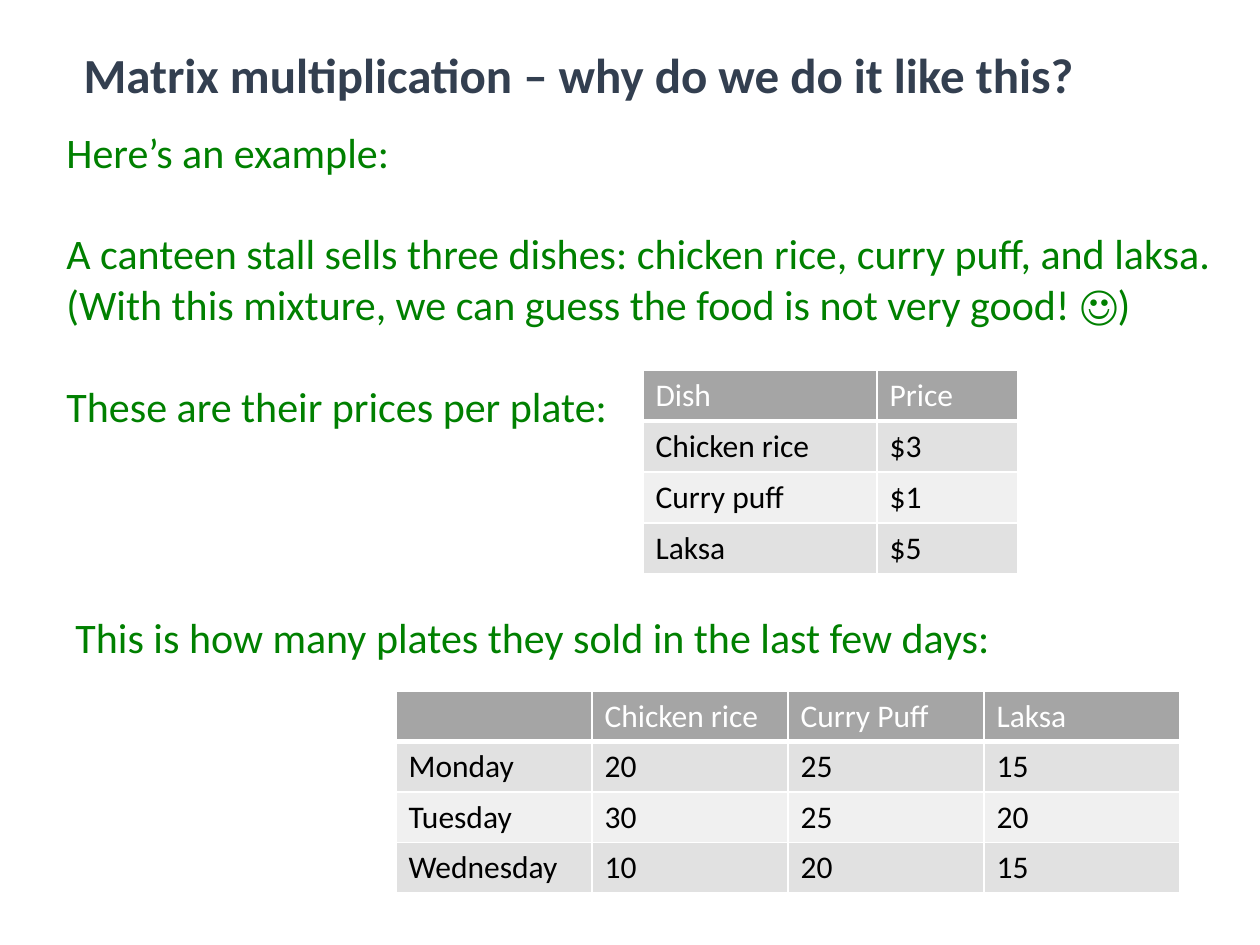
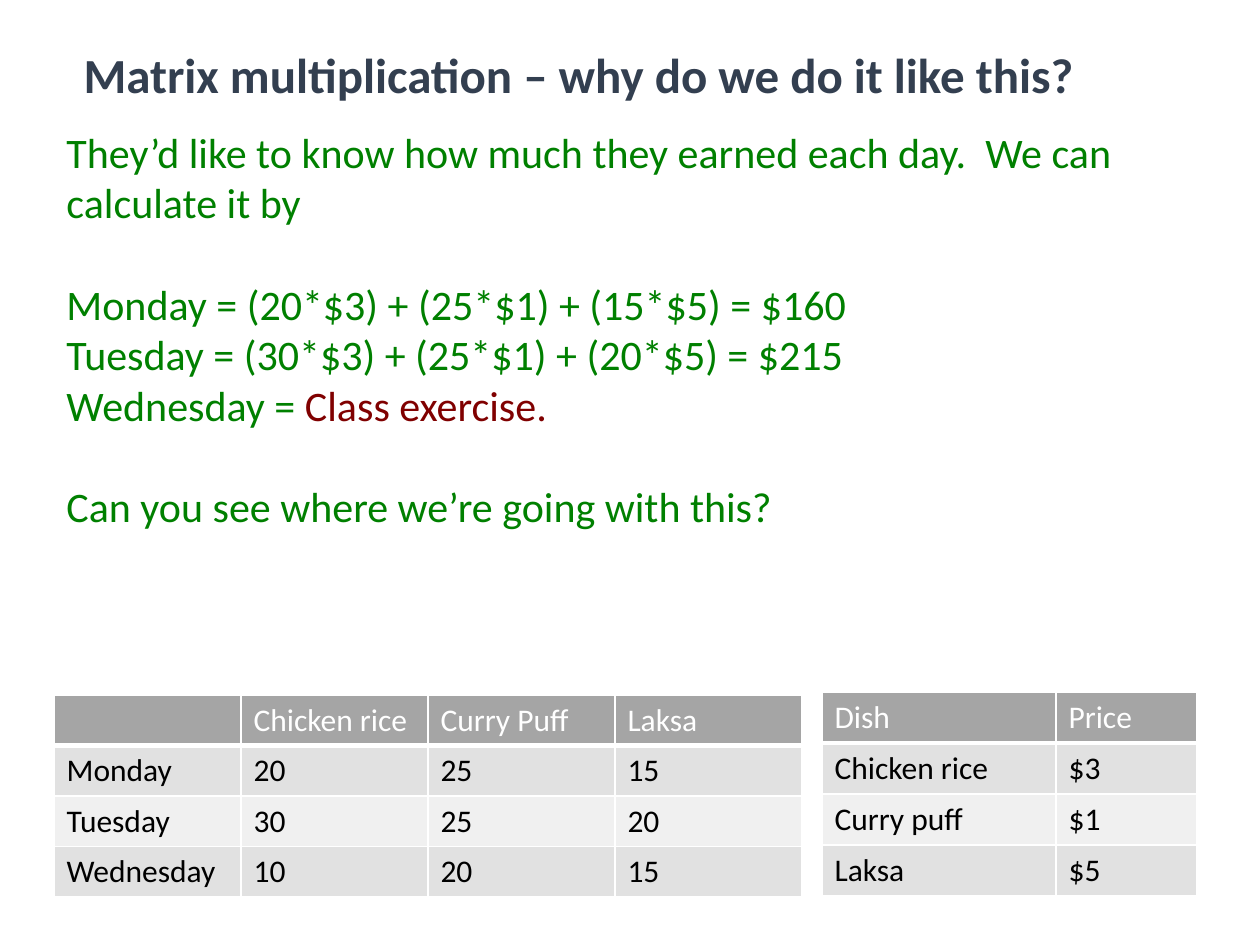
from dataclasses import dataclass

import pptx
import pptx.dml.color
import pptx.enum.text
import pptx.oxml
import pptx.oxml.ns
import pptx.util

EMU_PER_PX = 914400 / 126
TITLE_ONLY = 5


@dataclass(frozen=True)
class Theme:
    font: str = "Calibri"
    title_size: int = 28
    body_size: int = 24
    table_size: int = 18
    line_gap: float = 29.3
    title: str = "333F50"
    body: str = "008000"
    exercise: str = "800000"
    header_fill: str = "A5A5A5"
    header_text: str = "FFFFFF"
    cell_text: str = "000000"
    odd_fill: str = "E1E1E1"
    even_fill: str = "F0F0F0"
    rule: str = "FFFFFF"
    rule_width: int = 1
    header_rule_width: int = 3


@dataclass(frozen=True)
class Box:
    left: int
    top: int
    width: int
    height: int

    def emu(self):
        return [px(n) for n in (self.left, self.top, self.width, self.height)]


@dataclass(frozen=True)
class Line:
    text: str
    answer: str = ""
    new_block: bool = False


THEME = Theme()
TITLE = "Matrix multiplication – why do we do it like this?"
TITLE_BOX = Box(71, 38, 1170, 72)

PRICES = [
    ["Dish", "Price"],
    ["Chicken rice", "$3"],
    ["Curry puff", "$1"],
    ["Laksa", "$5"],
]
PRICE_COLUMNS = [234, 141]

PLATES_SOLD = [
    ["", "Chicken rice", "Curry Puff", "Laksa"],
    ["Monday", "20", "25", "15"],
    ["Tuesday", "30", "25", "20"],
    ["Wednesday", "10", "20", "15"],
]

EXAMPLE = [
    Line("Here’s an example:"),
    Line("A canteen stall sells three dishes: chicken rice, curry puff, and laksa. "
         "(With this mixture, we can guess the food is not very good! ☺)", new_block=True),
    Line("These are their prices per plate:", new_block=True),
]
SALES_INTRO = [Line("This is how many plates they sold in the last few days:")]
EARNINGS = [
    Line("They’d like to know how much they earned each day.  We can calculate it by"),
    Line("Monday = (20*$3) + (25*$1) + (15*$5) = $160", new_block=True),
    Line("Tuesday = (30*$3) + (25*$1) + (20*$5) = $215"),
    Line("Wednesday = ", answer="Class exercise."),
    Line("Can you see where we’re going with this?", new_block=True),
]


def px(length):
    return pptx.util.Emu(round(length * EMU_PER_PX))


def rgb(colour):
    return pptx.dml.color.RGBColor.from_string(colour)


def style_run(run, size, colour, bold=False):
    run.font.name = THEME.font
    run.font.size = pptx.util.Pt(size)
    run.font.color.rgb = rgb(colour)
    run.font.bold = bold


def add_title_slide(deck):
    slide = deck.slides.add_slide(deck.slide_layouts[TITLE_ONLY])
    title = slide.shapes.title
    title.left, title.top, title.width, title.height = TITLE_BOX.emu()
    frame = title.text_frame
    frame.text = TITLE
    frame.word_wrap = True
    frame.auto_size = pptx.enum.text.MSO_AUTO_SIZE.NONE
    frame.vertical_anchor = pptx.enum.text.MSO_ANCHOR.TOP
    heading = frame.paragraphs[0]
    heading.alignment = pptx.enum.text.PP_ALIGN.LEFT
    style_run(heading.runs[0], THEME.title_size, THEME.title, bold=True)
    return slide


def add_body(slide, box, lines):
    frame = slide.shapes.add_textbox(*box.emu()).text_frame
    frame.word_wrap = True
    for index, line in enumerate(lines):
        paragraph = frame.add_paragraph() if index else frame.paragraphs[0]
        paragraph.text = line.text
        if line.new_block:
            paragraph.space_before = pptx.util.Pt(THEME.line_gap)
        style_run(paragraph.runs[0], THEME.body_size, THEME.body)
        if line.answer:
            answer = paragraph.add_run()
            answer.text = line.answer
            style_run(answer, THEME.body_size, THEME.exercise)


def rule_cell(cell, is_header):
    properties = cell._tc.get_or_add_tcPr()
    for side in "LRTB":
        heavy = is_header and side == "B"
        width = THEME.header_rule_width if heavy else THEME.rule_width
        properties.append(pptx.oxml.parse_xml(
            f'<a:ln{side} {pptx.oxml.ns.nsdecls("a")} w="{pptx.util.Pt(width)}">'
            f'<a:solidFill><a:srgbClr val="{THEME.rule}"/></a:solidFill></a:ln{side}>'
        ))


def add_grid(slide, left, top, columns, row_height, rows):
    box = Box(left, top, sum(columns), row_height * len(rows))
    table = slide.shapes.add_table(len(rows), len(columns), *box.emu()).table
    table.horz_banding = False
    for column, width in zip(table.columns, columns):
        column.width = px(width)
    for index, values in enumerate(rows):
        is_header = index == 0
        table.rows[index].height = px(row_height)
        band = THEME.odd_fill if index % 2 else THEME.even_fill
        fill = THEME.header_fill if is_header else band
        colour = THEME.header_text if is_header else THEME.cell_text
        for cell, value in zip(table.rows[index].cells, values):
            rule_cell(cell, is_header)
            cell.fill.solid()
            cell.fill.fore_color.rgb = rgb(fill)
            cell.text = value
            for run in cell.text_frame.paragraphs[0].runs:
                style_run(run, THEME.table_size, colour)


def add_prices(slide, left, top):
    add_grid(slide, left, top, PRICE_COLUMNS, 51, PRICES)


def add_plates_sold(slide, left, top, column_width):
    columns = [column_width] * len(PLATES_SOLD[0])
    add_grid(slide, left, top, columns, 50, PLATES_SOLD)


def build_example(deck):
    slide = add_title_slide(deck)
    add_body(slide, Box(54, 120, 1202, 471), EXAMPLE)
    add_prices(slide, 643, 370)
    add_plates_sold(slide, 396, 691, 196)
    add_body(slide, Box(63, 605, 1105, 63), SALES_INTRO)


def build_earnings(deck):
    slide = add_title_slide(deck)
    add_body(slide, Box(54, 120, 1202, 522), EARNINGS)
    add_plates_sold(slide, 54, 695, 187)
    add_prices(slide, 822, 692)


def main():
    deck = pptx.Presentation()
    deck.slide_width, deck.slide_height = px(1260), px(945)
    build_example(deck)
    build_earnings(deck)
    deck.save("out.pptx")


if __name__ == "__main__":
    main()
